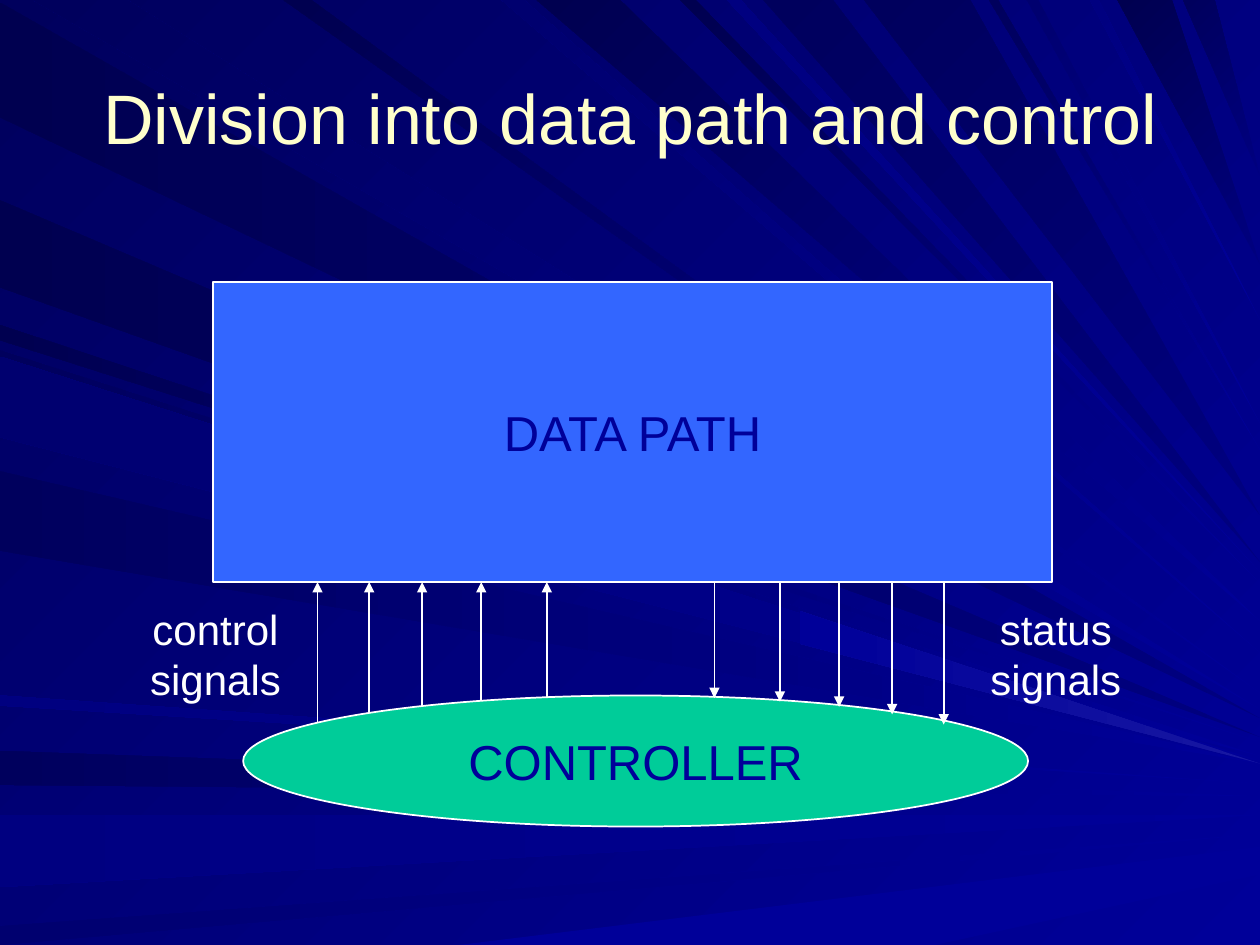
from math import sqrt

from lxml.etree import SubElement
from pptx import Presentation
from pptx.dml.color import RGBColor
from pptx.enum.shapes import MSO_CONNECTOR, MSO_SHAPE
from pptx.enum.text import MSO_ANCHOR as ANCHOR, MSO_AUTO_SIZE, PP_ALIGN
from pptx.oxml.ns import qn
from pptx.util import Pt

PX = 9144  # EMU per px, 100 px to the inch
WIDTH, HEIGHT = 1000, 750
COLOURS = {
    "white": "FFFFFF", "cream": "FFFFCC",
    "data path": "3366FF", "controller": "00CC99",
    "haze": "1717A2", "royal": "000099", "navy": "000080",
    "deep": "00006F", "dusk": "00005D", "night": "000050",
}
RGB = {name: RGBColor.from_string(value) for name, value in COLOURS.items()}

# Each ray starts between two places on an edge and narrows to a height
# on the right edge: start, stop, tip, far colour, near colour
LEFT_RAYS = [
    (2, 93, 570, "night", "navy"),
    (596, 623, 632, "dusk", "royal"),
    (647, 704, 647, "navy", "royal"),
    (735, 750, 662, "deep", "royal"),
    (258, 270, 589, "night", "royal"),
    (159, 228, 585, "night", "navy"),
    (278, 342, 600, "dusk", "royal"),
    (374, 437, 606, "dusk", "royal"),
    (552, 560, 622, "navy", "royal"),
    (283, 347, 604, "deep", "royal"),
]
TOP_RAYS = [
    (26, 101, 563, "dusk", "royal"),
    (398, 416, 518, "deep", "royal"),
    (426, 492, 493, "night", "royal"),
    (540, 552, 463, "night", "royal"),
    (606, 661, 446, "dusk", "navy"),
    (887, 930, 210, "night", "navy"),
    (939, 964, 140, "dusk", "navy"),
    (225, 247, 550, "night", "royal"),
    (577, 588, 454, "navy", "royal"),
    (686, 770, 409, "dusk", "navy"),
    (785, 792, 357, "dusk", "royal"),
    (815, 824, 336, "deep", "royal"),
    (865, 872, 254, "navy", "royal"),
]


def shade(fill, near, far=None, angle=0):
    """Fill plainly, or with a gradient whose angle runs anticlockwise."""
    if far is None:
        fill.solid()
        fill.fore_color.rgb = RGB[near]
        return
    fill.gradient()
    fill.gradient_angle = angle
    for stop, name in zip(fill.gradient_stops, (near, far)):
        stop.color.rgb = RGB[name]


def write(shape, text, size, colour, anchor=ANCHOR.MIDDLE, wrap=False):
    frame = shape.text_frame
    frame.word_wrap = wrap
    frame.vertical_anchor = anchor
    frame.text = text
    for paragraph in frame.paragraphs:
        paragraph.alignment = PP_ALIGN.CENTER
        paragraph.font.name = "Arial"
        paragraph.font.size = Pt(size)
        paragraph.font.color.rgb = RGB[colour]


prs = Presentation()
prs.slide_width, prs.slide_height = WIDTH * PX, HEIGHT * PX
slide = prs.slides.add_slide(prs.slide_layouts[6])
shapes = slide.shapes

# Backdrop of light rays
shade(slide.background.fill, "royal", "dusk", 135)
rays = [([(0, start), (0, stop), (WIDTH, tip)], far, near, 180)
        for start, stop, tip, far, near in LEFT_RAYS]
rays += [([(start, 0), (stop, 0), (WIDTH, tip)], far, near, 135)
         for start, stop, tip, far, near in TOP_RAYS]
rays.append(([(635, 485), (635, 511), (WIDTH, 606)], "royal", "haze", 180))
rays.append(([(364, HEIGHT), (WIDTH, 672), (WIDTH, 694), (742, HEIGHT)], None, "royal", 0))
for corners, far, near, angle in rays:
    outline = shapes.build_freeform(*corners[0], scale=PX)
    outline.add_line_segments(corners[1:], close=True)
    ray = outline.convert_to_shape()
    ray.shadow.inherit = False
    ray.line.fill.background()
    shade(ray.fill, near, far, angle)

title = shapes.add_textbox(50 * PX, 30 * PX, 900 * PX, 125 * PX)
write(title, "Division into data path and control", 40, "cream", wrap=True)

# The two units
DATA_PATH = (169, 224, 666, 238)
CONTROLLER = (193, 552, 623, 104)
for name, preset, bounds in (
    ("data path", MSO_SHAPE.RECTANGLE, DATA_PATH),
    ("controller", MSO_SHAPE.OVAL, CONTROLLER),
):
    unit = shapes.add_shape(preset, *(length * PX for length in bounds))
    unit.shadow.inherit = False
    shade(unit.fill, name)
    unit.line.color.rgb = RGB["white"]
    unit.line.width = Pt(1)
    write(unit, name.upper(), 28, "royal")

# Control signals rise on the left; status signals fall, mirrored, on the right.
# Both run between the data path's lower side and the controller's rim.
MIRROR = 1001
signal_top = DATA_PATH[1] + DATA_PATH[3]
left, top, width, height = CONTROLLER
for x in (252, 293, 335, 382, 434):
    offset = (2 * (x - left) - width) / width
    rim = round(top + height / 2 * (1 - sqrt(1 - offset ** 2)))
    for signal_x, drop, arrow_end in ((x, 0, "a:tailEnd"), (MIRROR - x, 1, "a:headEnd")):
        signal = shapes.add_connector(
            MSO_CONNECTOR.STRAIGHT,
            signal_x * PX, (rim + drop) * PX, signal_x * PX, (signal_top + drop) * PX)
        signal.line.color.rgb = RGB["white"]
        signal.line.width = Pt(1)
        SubElement(signal.line._get_or_add_ln(), qn(arrow_end), type="triangle")
        SubElement(signal._element.spPr, qn("a:effectLst"))

for kind, label_left in (("control", 109), ("status", 776)):
    label = shapes.add_textbox(label_left * PX, 474 * PX, 124 * PX, 90 * PX)
    write(label, kind + "\nsignals", 24, "white", anchor=ANCHOR.TOP)
    label.text_frame.auto_size = MSO_AUTO_SIZE.SHAPE_TO_FIT_TEXT

prs.save("out.pptx")
